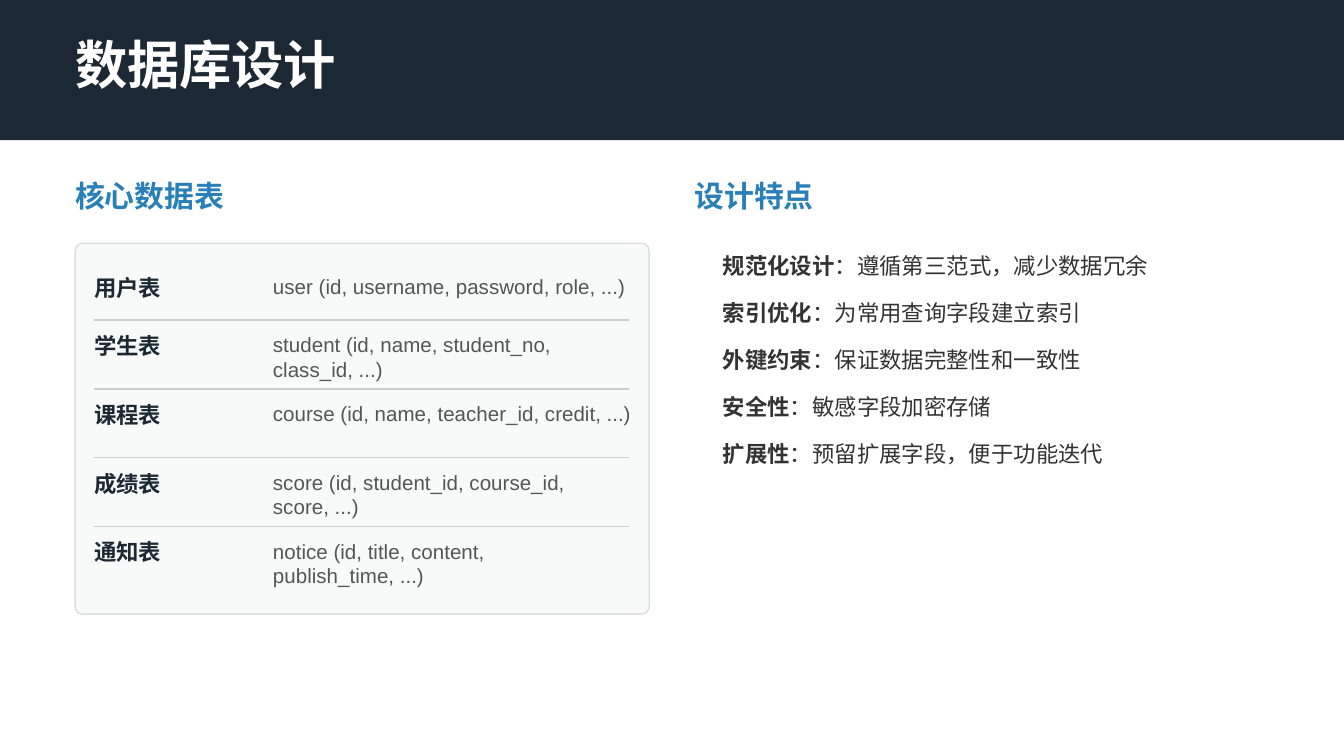
import pptx
import pptx.dml.color
import pptx.enum.shapes
import pptx.oxml.ns
import pptx.util
from lxml import etree

Cm = pptx.util.Cm
Pt = pptx.util.Pt
Kind = pptx.enum.shapes.MSO_SHAPE
Link = pptx.enum.shapes.MSO_CONNECTOR

DARK, BLUE, GREY, BODY = "1C2833", "2980B9", "555555", "333333"
LEFT, RIGHT, INNER = 1.42, 13.13, 1.78
PITCH = 1.3

TABLES = [
    ("用户表", "user (id, username, password, role, ...)"),
    ("学生表", "student (id, name, student_no, class_id, ...)"),
    ("课程表", "course (id, name, teacher_id, credit, ...)"),
    ("成绩表", "score (id, student_id, course_id, score, ...)"),
    ("通知表", "notice (id, title, content, publish_time, ...)"),
]
POINTS = [
    ("规范化设计", "：遵循第三范式，减少数据冗余"),
    ("索引优化", "：为常用查询字段建立索引"),
    ("外键约束", "：保证数据完整性和一致性"),
    ("安全性", "：敏感字段加密存储"),
    ("扩展性", "：预留扩展字段，便于功能迭代"),
]


def tint(code):
    return pptx.dml.color.RGBColor.from_string(code)


class Deck:
    def __init__(self, slide, font):
        self.slide = slide
        self.font = font

    def style(self, run, size, color, bold):
        run.font.name = self.font
        run.font.size = Pt(size)
        run.font.color.rgb = tint(color)
        run.font.bold = bold

    def panel(self, kind, x, y, w, h, fill, edge=None):
        box = self.slide.shapes.add_shape(kind, Cm(x), Cm(y), Cm(w), Cm(h))
        box.shadow.inherit = False
        box.fill.solid()
        box.fill.fore_color.rgb = tint(fill)
        if edge:
            box.line.color.rgb = tint(edge)
            box.line.width = Pt(0.75)
        else:
            box.line.fill.background()
        return box

    def frame(self, x, y, w, h, inset=0):
        frame = self.slide.shapes.add_textbox(Cm(x), Cm(y), Cm(w), Cm(h)).text_frame
        frame.word_wrap = True
        frame.margin_left = Cm(inset)
        frame.margin_top = frame.margin_right = frame.margin_bottom = 0
        return frame

    def text(self, words, x, y, w, h, size, color, bold=True):
        frame = self.frame(x, y, w, h)
        frame.text = words
        self.style(frame.paragraphs[0].runs[0], size, color, bold)

    def points(self, items, x, y, w, h):
        frame = self.frame(x, y, w, h, 0.53)
        for i, (head, rest) in enumerate(items):
            para = frame.add_paragraph() if i else frame.paragraphs[0]
            para.text = head
            para.line_spacing = Pt(19.2)
            para.space_after = Pt(6)
            para.add_run().text = rest
            for run, bold in zip(para.runs, (True, False)):
                self.style(run, 12, BODY, bold)

    def rule(self, x, y, w):
        line = self.slide.shapes.add_connector(
            Link.STRAIGHT, Cm(x), Cm(y), Cm(x + w), Cm(y))
        line.line.color.rgb = tint("CCCCCC")
        line.line.width = Pt(0.75)
        etree.SubElement(line._element.spPr, pptx.oxml.ns.qn("a:effectLst"))


def main():
    show = pptx.Presentation()
    show.slide_width, show.slide_height = Cm(25.4), Cm(14.29)
    deck = Deck(show.slides.add_slide(show.slide_layouts[6]), "Arial")

    deck.panel(Kind.RECTANGLE, 0, 0, 25.4, 2.65, DARK)
    deck.text("数据库设计", LEFT, 0.61, 5, 1.42, 28, "FFFFFF")
    for title, x in (("核心数据表", LEFT), ("设计特点", RIGHT)):
        deck.text(title, x, 3.35, 11.07, 0.81, 16, BLUE)

    card = deck.panel(Kind.ROUNDED_RECTANGLE, LEFT, 4.6, 10.85, 7.01, "F8F9F9", "DDDDDD")
    card.adjustments[0] = 0.02
    for i, (name, fields) in enumerate(TABLES):
        base = 6.05 + PITCH * i
        top = base - PITCH + 0.23 if i else 5.18
        if i < len(TABLES) - 1:
            deck.rule(INNER, base, 10.11)
        deck.text(name, INNER, top, 3.43, 0.64, 12, DARK)
        deck.text(fields, 5.16, top, 6.86, 0.84 if i else 0.43, 11, GREY, False)

    deck.points(POINTS, RIGHT, 4.6, 10.85, 4.24)
    show.save("out.pptx")


if __name__ == "__main__":
    main()
